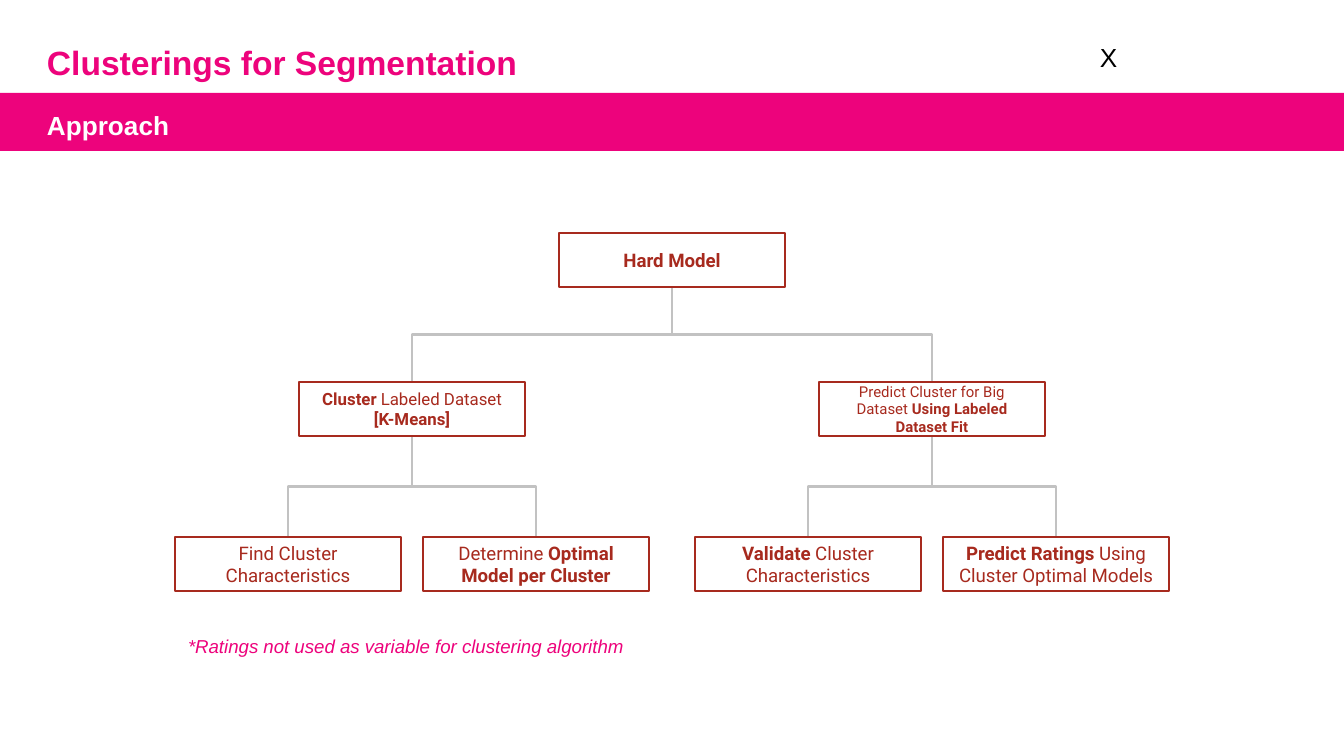
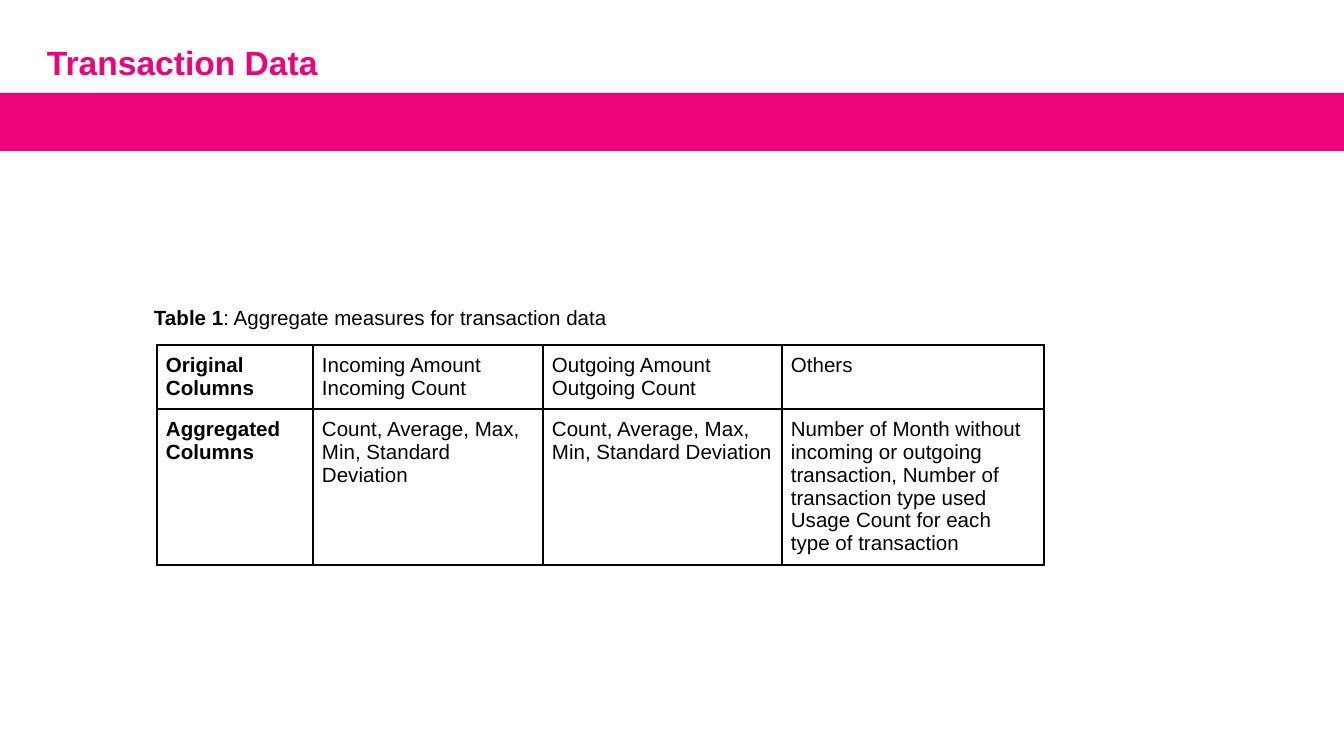
from dataclasses import dataclass

from lxml import etree
from pptx import Presentation
from pptx.dml.color import RGBColor as RGB
from pptx.enum.shapes import MSO_CONNECTOR as Connector, MSO_SHAPE as Shape
from pptx.enum.text import MSO_ANCHOR as Anchor, MSO_AUTO_SIZE as AutoSize, PP_ALIGN as Align
from pptx.oxml.ns import qn
from pptx.util import Emu, Pt

WIDTH, HEIGHT = 1344, 756
EMU_PER_PX = 9144000 / WIDTH


def px(length):
    return Emu(round(length * EMU_PER_PX))


@dataclass(frozen=True)
class Theme:
    pink: RGB = RGB(0xED, 0x03, 0x7C)
    white: RGB = RGB(0xFF, 0xFF, 0xFF)
    black: RGB = RGB(0, 0, 0)
    brick: RGB = RGB(0xA7, 0x2A, 0x1E)
    gray: RGB = RGB(0xC2, 0xC2, 0xC2)
    font: str = "Arial"
    tree_font: str = "Roboto"
    title: int = 18
    subtitle: int = 14
    table: int = 11
    small: int = 10
    step: int = 9
    long_step: int = 8
    line: float = 1.5
    border: int = 1


class Deck:
    """Holds the theme, the presentation and the current slide."""

    def __init__(self, theme):
        self.theme = theme
        self.presentation = Presentation()
        self.presentation.slide_width = px(WIDTH)
        self.presentation.slide_height = px(HEIGHT)
        self.slide = None

    def fill_text(self, frame, text, size, color, font=None, align=Align.LEFT,
                  anchor=Anchor.TOP, inset=(13, 13), spacing=None):
        """Fill a frame; parts between bars are bold, line breaks part paragraphs."""
        frame.word_wrap = True
        frame.vertical_anchor = anchor
        frame.margin_left = frame.margin_right = px(inset[0])
        frame.margin_top = frame.margin_bottom = px(inset[1])
        frame.text = "\n" * text.count("\n")
        for paragraph, line in zip(frame.paragraphs, text.split("\n")):
            paragraph.alignment = align
            if spacing:
                paragraph.line_spacing = spacing
            for index, part in enumerate(line.split("|")):
                if part:
                    run = paragraph.add_run()
                    run.text = part
                    run.font.name = font or self.theme.font
                    run.font.size = Pt(size)
                    run.font.color.rgb = color
                    run.font.bold = index % 2 == 1

    def place(self, shape, left, top, width, height):
        shape.left, shape.top = px(left), px(top)
        shape.width, shape.height = px(width), px(height)

    def send_back(self, shape):
        self.slide.shapes._spTree.insert(2, shape._element)

    def add_slide(self, title, subtitle=None):
        theme = self.theme
        layout = self.presentation.slide_layouts[0]
        self.slide = self.presentation.slides.add_slide(layout)
        self.band()
        heading, subheading = self.slide.placeholders
        self.heading(heading, 31, 62, title, theme.title, theme.pink)
        if subtitle:
            self.heading(subheading, 93, 59, subtitle, theme.subtitle, theme.white, 1.15)
        else:
            subheading._element.getparent().remove(subheading._element)

    def heading(self, placeholder, top, height, text, size, color, spacing=None):
        self.place(placeholder, 38, top, 1059, height)
        self.fill_text(placeholder.text_frame, f"|{text}|", size, color,
                       anchor=Anchor.MIDDLE, inset=(9, 5), spacing=spacing)
        placeholder.text_frame.auto_size = AutoSize.NONE

    def rectangle(self, left, top, width, height):
        shape = self.slide.shapes.add_shape(
            Shape.RECTANGLE, px(left), px(top), px(width), px(height))
        shape.shadow.inherit = False
        return shape

    def band(self):
        shape = self.rectangle(0, 93, WIDTH, 58)
        shape.fill.solid()
        shape.fill.fore_color.rgb = self.theme.pink
        shape.line.fill.background()
        self.send_back(shape)

    def text(self, left, top, width, height, text, size, color, grow=False, **style):
        box = self.slide.shapes.add_textbox(px(left), px(top), px(width), px(height))
        self.fill_text(box.text_frame, text, size, color, **style)
        if grow:
            box.text_frame.auto_size = AutoSize.SHAPE_TO_FIT_TEXT
        return box

    def node(self, center, top, text, size):
        width, height = 226, 54
        shape = self.rectangle(center - width // 2, top, width, height)
        shape.fill.background()
        shape.line.color.rgb = self.theme.brick
        shape.line.width = Pt(self.theme.line)
        self.fill_text(shape.text_frame, text, size, self.theme.brick,
                       font=self.theme.tree_font, align=Align.CENTER, anchor=Anchor.MIDDLE)
        return shape

    def branch(self, parent, child):
        """Join a parent's bottom to a child's top with a vertical-first elbow."""
        parent_x, parent_y = parent.left + parent.width // 2, parent.top + parent.height
        child_x, child_y = child.left + child.width // 2, child.top
        to_right = child_x > parent_x
        connector = self.slide.shapes.add_connector(
            Connector.ELBOW, parent_x, parent_y, child_x, child_y)
        ends = [(parent, 2), (child, 0)]
        begin, end = ends if to_right else reversed(ends)
        connector.begin_connect(*begin)
        connector.end_connect(*end)
        # The frame is stored unrotated, about the same centre
        drop, run = child_y - parent_y, abs(child_x - parent_x)
        connector.left = Emu((parent_x + child_x - drop) // 2)
        connector.top = Emu((parent_y + child_y - run) // 2)
        connector.width, connector.height = Emu(drop), Emu(run)
        properties = connector._element.spPr
        frame = properties.find(qn("a:xfrm"))
        frame.set("rot", str(270 * 60000))
        frame.set("flipH", str(int(to_right)))
        frame.set("flipV", "0")
        connector.line.color.rgb = self.theme.gray
        connector.line.width = Pt(self.theme.line)
        etree.SubElement(properties, qn("a:effectLst"))
        self.send_back(connector)

    def border(self, cell):
        properties = cell._tc.get_or_add_tcPr()
        for index, side in enumerate(("lnL", "lnR", "lnT", "lnB")):
            line = etree.Element(qn(f"a:{side}"), w=str(Pt(self.theme.border)))
            fill = etree.SubElement(line, qn("a:solidFill"))
            etree.SubElement(fill, qn("a:srgbClr"), val=str(self.theme.black))
            properties.insert(index, line)

    def table(self, left, top, widths, heights, rows):
        table = self.slide.shapes.add_table(
            len(heights), len(widths), px(left), px(top),
            px(sum(widths)), px(sum(heights))).table
        table.first_row = table.horz_banding = False
        for column, width in zip(table.columns, widths):
            column.width = px(width)
        for row, height, texts in zip(table.rows, heights, rows):
            row.height = px(height)
            for cell, text in zip(row.cells, texts):
                self.fill_text(cell.text_frame, text, self.theme.table, self.theme.black)
                cell.margin_left = cell.margin_right = px(9)
                cell.margin_top = cell.margin_bottom = px(9)
                cell.vertical_anchor = Anchor.TOP
                cell.fill.background()
                self.border(cell)


def clustering_slide(deck):
    theme = deck.theme
    deck.add_slide("Clusterings for Segmentation", "Approach")
    deck.text(1087, 28, 51, 59, "X", theme.subtitle, theme.black, grow=True)

    # Model tree: each level spreads evenly about its parent
    middle, step_spread, leaf_spread = WIDTH // 2, 260, 124
    steps = [
        ("|Cluster |Labeled Dataset |[K-Means]|", theme.step,
         ["Find Cluster Characteristics", "Determine |Optimal Model per Cluster|"]),
        ("Predict Cluster for Big Dataset |Using Labeled Dataset Fit|", theme.long_step,
         ["|Validate| Cluster Characteristics",
          "|Predict Ratings| Using Cluster Optimal Models"]),
    ]
    root = deck.node(middle, 233, "|Hard Model|", theme.small)
    for side, (text, size, leaves) in zip((-1, 1), steps):
        center = middle + side * step_spread
        step = deck.node(center, 382, text, size)
        deck.branch(root, step)
        for leaf_side, leaf_text in zip((-1, 1), leaves):
            leaf = deck.node(center + leaf_side * leaf_spread, 537, leaf_text, theme.small)
            deck.branch(step, leaf)

    # Footnote
    note = deck.text(175, 624, 609, 50,
                     "*Ratings not used as variable for clustering algorithm",
                     theme.small, theme.pink, grow=True)
    note.text_frame.paragraphs[0].runs[0].font.italic = True


def transaction_slide(deck):
    theme = deck.theme
    deck.add_slide("Transaction Data")
    # Table and its caption
    measures = "Count, Average, Max, Min, Standard Deviation"
    deck.table(157, 345, [156, 230, 239, 262], [64, 156], [
        ["|Original Columns|", "Incoming Amount\nIncoming Count",
         "Outgoing Amount\nOutgoing Count", "Others"],
        ["|Aggregated Columns|", measures, measures,
         "Number of Month without incoming or outgoing transaction, "
         "Number of transaction type used\nUsage Count for each type of transaction"],
    ])
    deck.text(141, 95, 630, 441, "|Table 1|: Aggregate measures for transaction data",
              theme.table, theme.black, align=Align.JUSTIFY, anchor=Anchor.MIDDLE,
              spacing=1.15)


def main():
    deck = Deck(Theme())
    clustering_slide(deck)
    transaction_slide(deck)
    deck.presentation.save("out.pptx")


if __name__ == "__main__":
    main()
